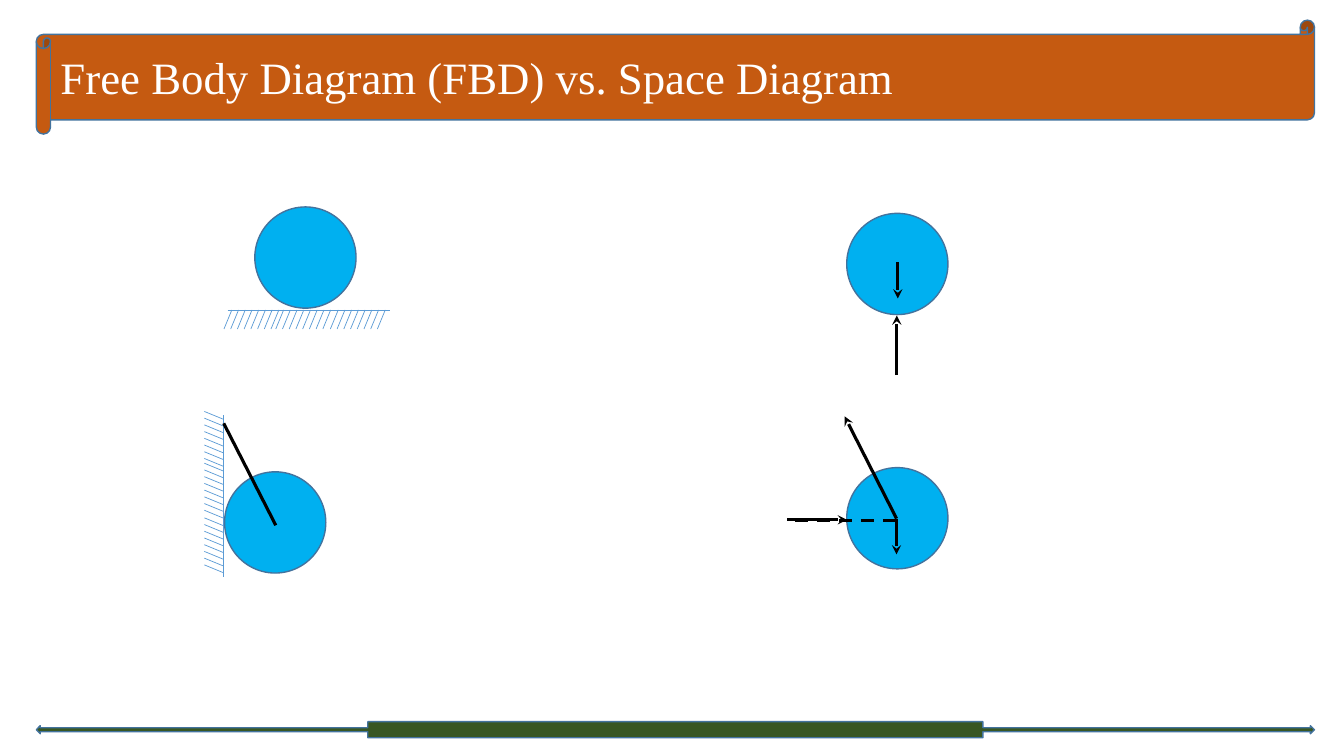
"""Build the slide that compares free body diagrams with space diagrams."""
from lxml.etree import SubElement
from pptx import Presentation
from pptx.dml.color import RGBColor
from pptx.enum.dml import MSO_LINE
from pptx.enum.shapes import MSO_CONNECTOR, MSO_SHAPE
from pptx.enum.text import MSO_ANCHOR, PP_ALIGN
from pptx.oxml.ns import qn
from pptx.util import Pt

ORANGE = RGBColor(0xC5, 0x5A, 0x11)
GREEN = RGBColor(0x38, 0x57, 0x23)
SKY_BLUE = RGBColor(0x00, 0xB0, 0xF0)
OUTLINE_BLUE = RGBColor(0x43, 0x73, 0x9E)
HATCH_BLUE = RGBColor(0x5B, 0x9B, 0xD5)
BLACK = RGBColor(0x00, 0x00, 0x00)
WHITE = RGBColor(0xFF, 0xFF, 0xFF)


def add_filled_shape(kind, left, top, width, height, color):
    shape = slide.shapes.add_shape(kind, Pt(left), Pt(top), Pt(width), Pt(height))
    shape.shadow.inherit = False
    shape.fill.solid()
    shape.fill.fore_color.rgb = color
    shape.line.color.rgb = OUTLINE_BLUE
    shape.line.width = Pt(1)
    return shape


def add_line(shapes, start, end, color, weight, arrow=False):
    points = [Pt(value) for value in (*start, *end)]
    connector = shapes.add_connector(MSO_CONNECTOR.STRAIGHT, *points)
    connector.line.color.rgb = color
    connector.line.width = Pt(weight)
    if arrow:
        SubElement(connector.line._get_or_add_ln(), qn("a:tailEnd"), type="stealth")
    SubElement(connector._element.spPr, qn("a:effectLst"))
    return connector


presentation = Presentation()
presentation.slide_width = Pt(960)
presentation.slide_height = Pt(540)
slide = presentation.slides.add_slide(presentation.slide_layouts[5])

title = slide.shapes.title
title.left, title.top, title.width, title.height = Pt(36), Pt(25), Pt(900), Pt(60)
title.text_frame.vertical_anchor = MSO_ANCHOR.MIDDLE
paragraph = title.text_frame.paragraphs[0]
paragraph.alignment = PP_ALIGN.LEFT
run = paragraph.add_run()
run.text = "Free Body Diagram (FBD) vs. Space Diagram"
run.font.name = "Times New Roman"
run.font.size = Pt(32)
run.font.color.rgb = WHITE

scroll = add_filled_shape(MSO_SHAPE.HORIZONTAL_SCROLL, 25.9, 14.4, 913, 81.4, ORANGE)
title._element.addprevious(scroll._element)
add_filled_shape(MSO_SHAPE.LEFT_RIGHT_ARROW_CALLOUT, 25.9, 515.5, 913, 11.5, GREEN)

floor = slide.shapes.add_group_shape()
wall = slide.shapes.add_group_shape()
for offset in (0, 37, 76):
    floor_x = 165.6 + offset
    wall_y = 299.5 + offset
    add_line(floor.shapes, (floor_x - 3, 221.6), (floor_x + 37, 221.6), HATCH_BLUE, 0.5)
    add_line(wall.shapes, (159.6, wall_y - 3), (159.6, wall_y + 37), HATCH_BLUE, 0.5)
    for index in range(8):
        x = floor_x + 4.8 * index
        y = wall_y + 4.8 * index
        add_line(floor.shapes, (x, 221.4), (x - 5.6, 235), HATCH_BLUE, 0.5)
        add_line(wall.shapes, (159.6, y), (146, y - 5.6), HATCH_BLUE, 0.5)

for left, top in ((182, 147.8), (604.8, 152.4), (160.4, 337), (604.8, 334)):
    add_filled_shape(MSO_SHAPE.OVAL, left, top, 72.3, 72.3, SKY_BLUE)

add_line(slide.shapes, (197, 375.2), (159.8, 302.4), BLACK, 2.25)
center_line = add_line(slide.shapes, (568, 371.7), (641.5, 371.7), BLACK, 2.25)
center_line.line.dash_style = MSO_LINE.DASH

forces = [
    ((640.6, 268), (640.6, 225.4)),
    ((641.3, 187.2), (641.3, 213.2)),
    ((640.4, 370.4), (603.3, 297.4)),
    ((640.4, 370.4), (640.4, 396)),
    ((562.3, 371.3), (605, 371.3)),
]
for start, end in forces:
    add_line(slide.shapes, start, end, BLACK, 2.25, arrow=True)

presentation.save("out.pptx")
